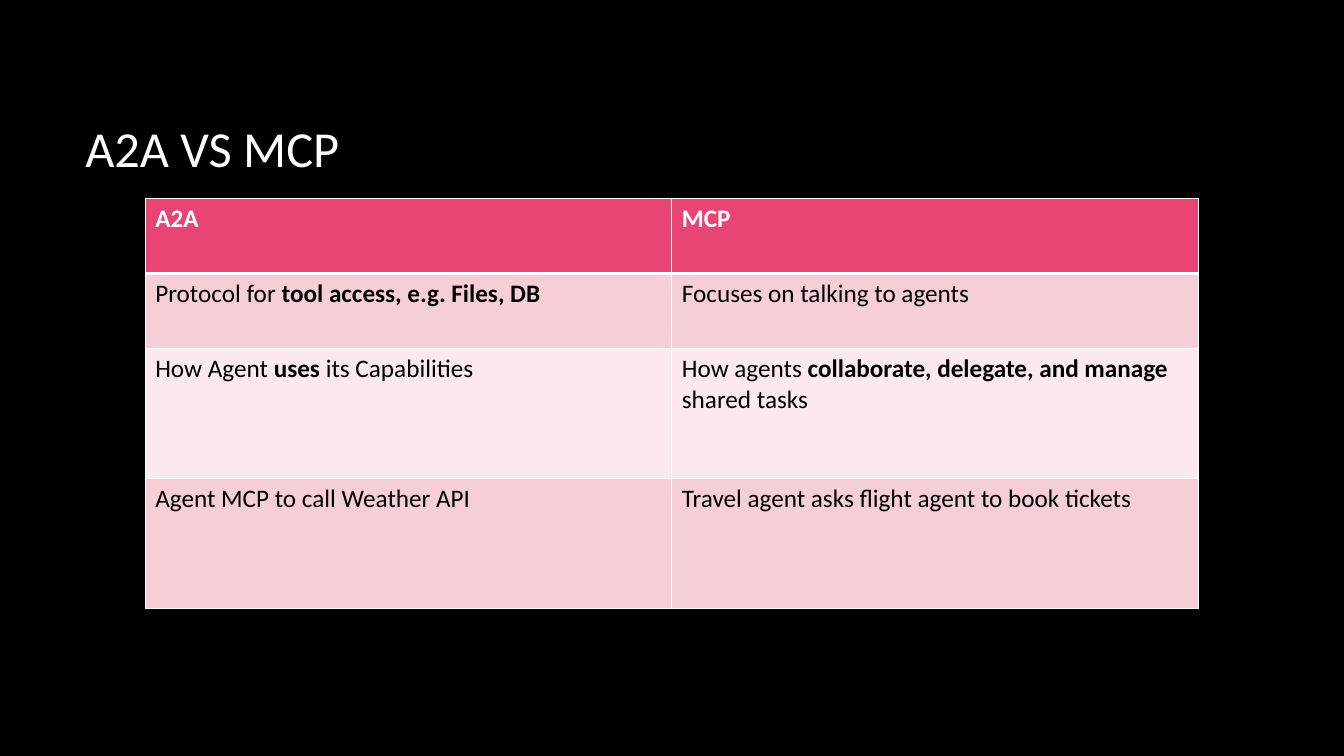
import lxml.etree
import pptx
import pptx.dml.color
import pptx.enum.text
import pptx.oxml.ns
import pptx.util

Cm = pptx.util.Cm
Pt = pptx.util.Pt
RGBColor = pptx.dml.color.RGBColor

BLACK = RGBColor(0x00, 0x00, 0x00)
WHITE = RGBColor(0xFF, 0xFF, 0xFF)
HEADER_PINK = RGBColor(0xE8, 0x45, 0x74)
BAND_PINK = RGBColor(0xF6, 0xCF, 0xD6)
PALE_PINK = RGBColor(0xFB, 0xE9, 0xEB)

TITLE_FONT = {"name": "Calibri", "size": Pt(36), "bold": False}
HEADER_FONT = {"name": "Calibri", "size": Pt(18), "bold": True}
BODY_FONT = {"name": "Calibri", "size": Pt(18), "bold": False}

# Each cell is a list of runs; every second run is emphasised
COMPARISON = [
    [["A2A"], ["MCP"]],
    [["Protocol for ", "tool access, e.g. Files, DB"],
     ["Focuses on talking to agents"]],
    [["How Agent ", "uses", " its Capabilities"],
     ["How agents ", "collaborate, delegate, and manage ", "shared tasks"]],
    [["Agent MCP to call Weather API"],
     ["Travel agent asks flight agent to book tickets"]],
]
ROW_HEIGHTS = [Cm(1.89), Cm(1.89), Cm(3.28), Cm(3.28)]
COLUMN_WIDTH = Cm(13.27)
THIN, THICK = Pt(1), Pt(3)


def add_run(paragraph, text, color, font_values):
    run = paragraph.add_run()
    run.text = text
    for name, value in font_values.items():
        setattr(run.font, name, value)
    run.font.color.rgb = color


def add_title(slide, text):
    shape = slide.shapes.add_textbox(Cm(1.9), Cm(1.7), Cm(28.14), Cm(4.04))
    frame_values = {
        "word_wrap": True,
        "vertical_anchor": pptx.enum.text.MSO_ANCHOR.MIDDLE,
    }
    for name, value in frame_values.items():
        setattr(shape.text_frame, name, value)
    add_run(shape.text_frame.paragraphs[0], text, WHITE, TITLE_FONT)


def set_borders(cell, widths):
    """Draw white cell borders; widths maps each side to its line width."""
    qn = pptx.oxml.ns.qn
    properties = cell._tc.get_or_add_tcPr()
    for side, width in widths.items():
        line = lxml.etree.SubElement(properties, qn(f"a:ln{side}"), w=str(int(width)))
        fill = lxml.etree.SubElement(line, qn("a:solidFill"))
        lxml.etree.SubElement(fill, qn("a:srgbClr"), val=str(WHITE))


def fill_cell(cell, runs, row_index):
    is_header = row_index == 0
    # The rule under the header is shared by the first two rows
    set_borders(cell, {
        "L": THIN,
        "R": THIN,
        "T": THICK if row_index == 1 else THIN,
        "B": THICK if is_header else THIN,
    })
    cell.fill.solid()
    if is_header:
        cell.fill.fore_color.rgb = HEADER_PINK
    else:
        cell.fill.fore_color.rgb = BAND_PINK if row_index % 2 else PALE_PINK
    paragraph = cell.text_frame.paragraphs[0]
    for run_index, text in enumerate(runs):
        font_values = HEADER_FONT if is_header or run_index % 2 else BODY_FONT
        add_run(paragraph, text, WHITE if is_header else BLACK, font_values)


def add_comparison_table(slide, rows):
    column_count = len(rows[0])
    table = slide.shapes.add_table(
        len(rows), column_count, Cm(3.66), Cm(5.0),
        COLUMN_WIDTH * column_count, sum(ROW_HEIGHTS)).table
    for column in table.columns:
        column.width = COLUMN_WIDTH
    for row_index, row in enumerate(rows):
        table.rows[row_index].height = ROW_HEIGHTS[row_index]
        for column_index, runs in enumerate(row):
            fill_cell(table.cell(row_index, column_index), runs, row_index)


def main():
    presentation = pptx.Presentation()
    presentation.slide_width = Cm(33.87)
    presentation.slide_height = Cm(19.05)
    slide = presentation.slides.add_slide(presentation.slide_layouts[6])

    # Background
    slide.background.fill.solid()
    slide.background.fill.fore_color.rgb = BLACK

    # Content
    add_title(slide, "A2A VS MCP")
    add_comparison_table(slide, COMPARISON)

    presentation.save("out.pptx")


if __name__ == "__main__":
    main()
